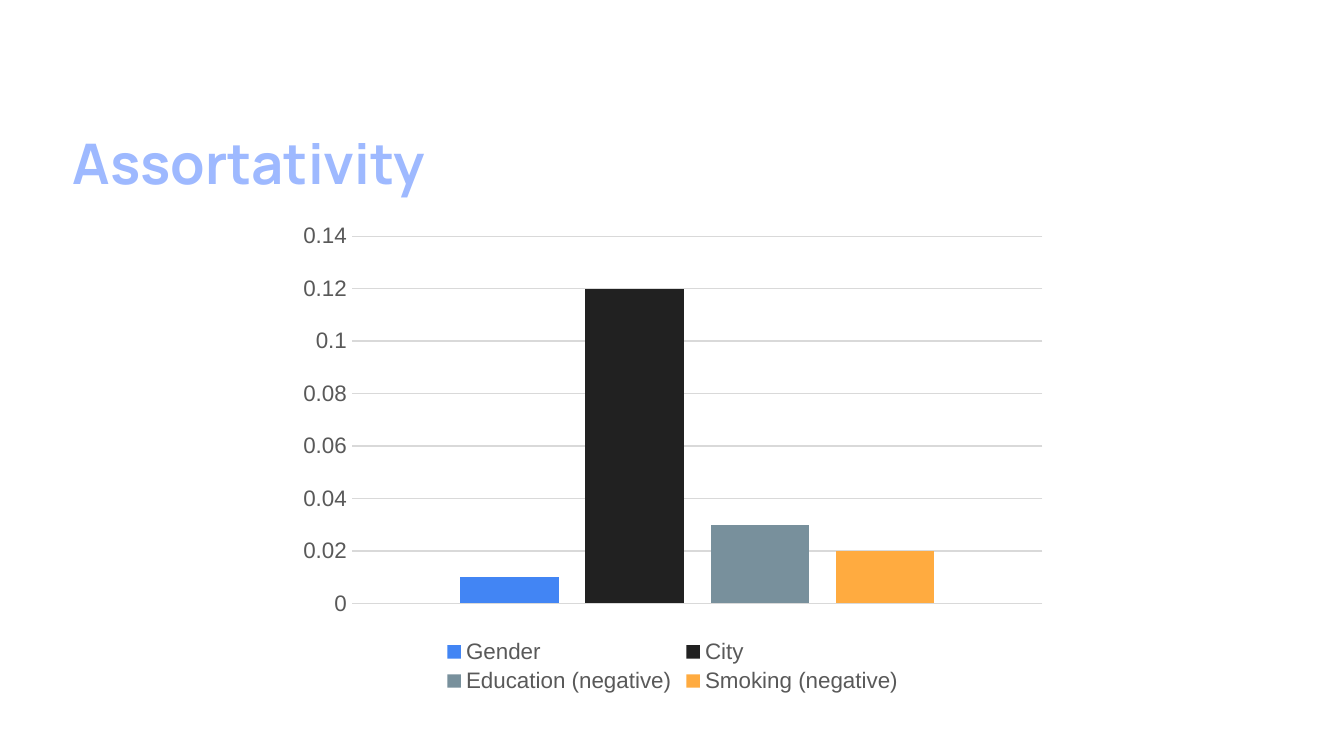
import pptx
import pptx.chart.data
import pptx.dml.color
import pptx.enum.chart
import pptx.enum.text
import pptx.util
from pptx.util import Cm

SERIES = [
    ("Gender", 0.01, "4285F4"),
    ("City", 0.12, "212121"),
    ("Education (negative)", 0.03, "78909C"),
    ("Smoking (negative)", 0.02, "FFAB40"),
]


def paint(color_format, hex_color):
    """Give a colour format the colour written as a hex string."""
    color_format.rgb = pptx.dml.color.RGBColor.from_string(hex_color)


def style_font(font, name, size, hex_color, bold=False):
    """Set the face, size, colour and weight of a font."""
    font.name = name
    font.size = pptx.util.Pt(size)
    font.bold = bold
    paint(font.color, hex_color)


def place_heading(slide, left, top, width, height):
    """Move the title placeholder into the box and fill it."""
    heading = slide.shapes.title
    heading.left, heading.top, heading.width, heading.height = left, top, width, height
    frame = heading.text_frame
    frame.margin_left = frame.margin_top = frame.margin_right = frame.margin_bottom = 0
    frame.vertical_anchor = pptx.enum.text.MSO_ANCHOR.TOP
    frame.auto_size = pptx.enum.text.MSO_AUTO_SIZE.NONE
    frame.word_wrap = True
    frame.text = "Assortativity"
    line = frame.paragraphs[0]
    line.alignment = pptx.enum.text.PP_ALIGN.LEFT
    line.line_spacing = 0.8
    line.space_before = pptx.util.Pt(0)
    style_font(line.font, "Manrope", 30, "9EB9FF", bold=True)


def place_assortativity_chart(slide, left, top, width, height):
    """Draw the clustered columns with their legend in the box."""
    coefficients = pptx.chart.data.CategoryChartData()
    coefficients.categories = ["1"]
    for name, value, _ in SERIES:
        coefficients.add_series(name, [value])
    chart = slide.shapes.add_chart(
        pptx.enum.chart.XL_CHART_TYPE.COLUMN_CLUSTERED, left, top, width, height, coefficients
    ).chart
    chart.has_title = False
    style_font(chart.font, "Arial", 10, "000000")

    columns = chart.plots[0]
    columns.vary_by_categories = False
    columns.gap_width = 219
    columns.overlap = -27
    for column, (_, _, hex_color) in zip(columns.series, SERIES):
        column.format.fill.solid()
        paint(column.format.fill.fore_color, hex_color)

    chart.category_axis.visible = False
    scale = chart.value_axis
    scale.minimum_scale, scale.maximum_scale, scale.major_unit = 0, 0.14, 0.02
    scale.major_tick_mark = pptx.enum.chart.XL_TICK_MARK.NONE
    scale.minor_tick_mark = pptx.enum.chart.XL_TICK_MARK.NONE
    scale.format.line.fill.background()
    style_font(scale.tick_labels.font, "Arial", 12, "595959")
    gridline = scale.major_gridlines.format.line
    gridline.width = pptx.util.Pt(0.75)
    paint(gridline.color, "D9D9D9")

    chart.has_legend = True
    chart.legend.position = pptx.enum.chart.XL_LEGEND_POSITION.BOTTOM
    chart.legend.include_in_layout = False
    style_font(chart.legend.font, "Arial", 12, "595959")


def main():
    """Build and save the slide."""
    deck = pptx.Presentation()
    deck.slide_width, deck.slide_height = Cm(25.4), Cm(14.29)
    slide = deck.slides.add_slide(deck.slide_layouts[5])
    place_heading(slide, Cm(1.37), Cm(2.67), Cm(8.03), Cm(1.04))
    place_assortativity_chart(slide, Cm(5.44), Cm(4.06), Cm(14.55), Cm(9.14))
    deck.save("out.pptx")


if __name__ == "__main__":
    main()
